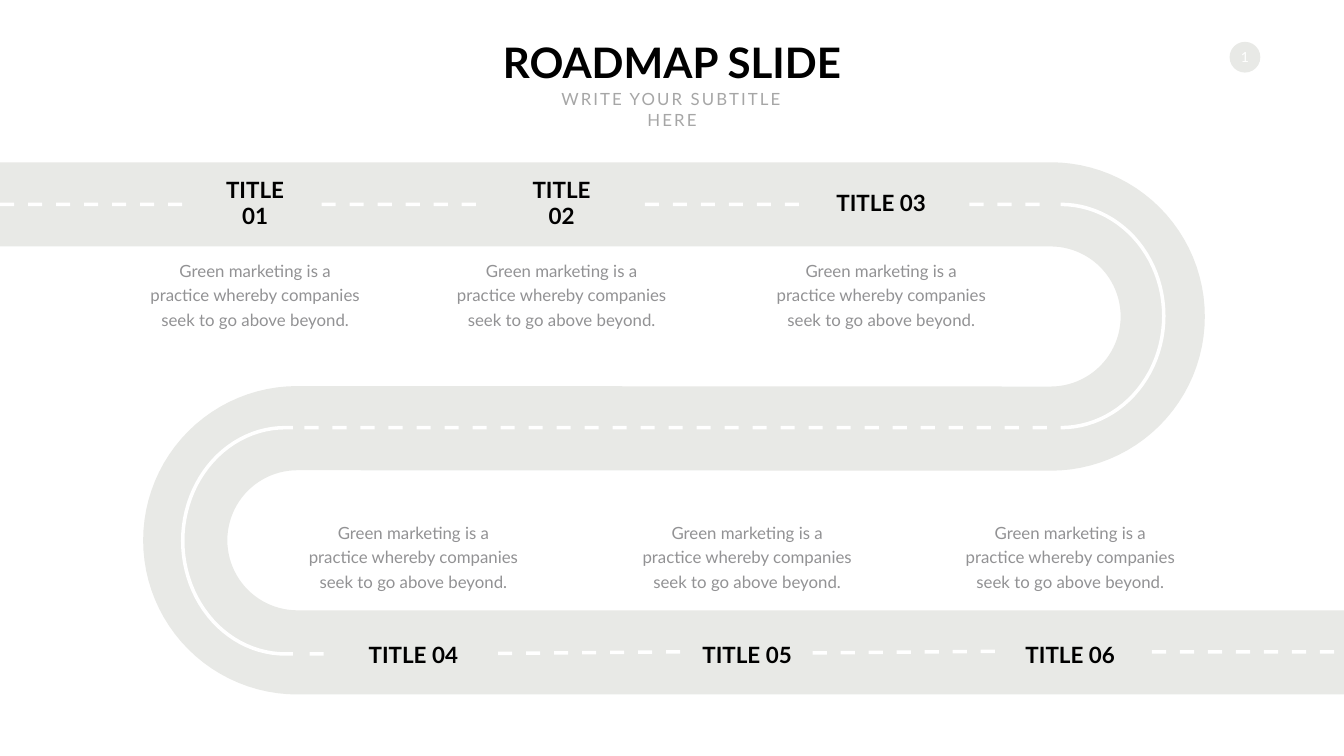
import math

import pptx
import pptx.dml.color
import pptx.enum.shapes
import pptx.enum.text
import pptx.util

# The grid has square cells: 26.66 columns by 15 rows, one inch each
COLUMNS, ROWS = 26.66, 15
CENTRE = COLUMNS / 2
COLORS = {"road": "E8E9E6", "white": "FFFFFF", "title": "000000",
          "subtitle": "A6A6A6", "body": "929294"}
FONT = "Lato"
BODY = "Green marketing is a practice whereby companies seek to go above beyond."
BODY_WIDTH, BODY_HEIGHT = 4.37, 1.52
TITLE_HEIGHT = 0.64
ANCHOR = pptx.enum.text.MSO_ANCHOR

# Centre columns of the milestones and widths of their titles
UPPER_MILESTONES = [("TITLE 01", 5.06, 1.9), ("TITLE 02", 11.14, 1.9),
                    ("TITLE 03", 17.48, 2.1)]
LOWER_MILESTONES = [("TITLE 04", 8.2, 2.1), ("TITLE 05", 14.82, 2.1),
                    ("TITLE 06", 21.23, 2.1)]

# Lane dashes: first column, row, count, rise per dash
DASH_WIDTH, DASH_HEIGHT, DASH_PITCH = 0.28, 0.07, 5 / 9
DASH_RUNS = [(0, 4.02, 7, 0), (6.38, 4.02, 6, 0), (12.79, 4.02, 6, 0),
             (19.23, 4.02, 3, 0), (6.04, 8.45, 27, 0), (6.14, 12.94, 1, 0),
             (9.88, 12.93, 7, 0.005), (16.12, 12.92, 7, 0.005),
             (22.85, 12.9, 7, 0)]


def cells(value):
    return pptx.util.Inches(value)


def color(name):
    return pptx.dml.color.RGBColor.from_string(COLORS[name])


def paint(shape, fill):
    shape.shadow.inherit = False
    shape.fill.solid()
    shape.fill.fore_color.rgb = color(fill)
    shape.line.fill.background()


def arc(centre, radius_x, radius_y, start, end, steps=48):
    """Points on an ellipse, with angles in degrees running clockwise."""
    angles = [math.radians(start + (end - start) * step / steps)
              for step in range(steps + 1)]
    return [(centre[0] + radius_x * math.cos(angle),
             centre[1] + radius_y * math.sin(angle)) for angle in angles]


def add_outline(slide, contours, fill):
    scaled = [[(cells(x), cells(y)) for x, y in contour] for contour in contours]
    builder = slide.shapes.build_freeform(*scaled[0][0], scale=1.0)
    for index, contour in enumerate(scaled):
        if index:
            builder.move_to(*contour[0])
        builder.add_line_segments(contour[1:], close=True)
    paint(builder.convert_to_shape(), fill)


def add_road(slide):
    right, left = (20.84, 6.28), (5.9, 10.72)
    outer, inner = 3.06, 1.39
    outline = [(0, right[1] - outer)]
    outline += arc(right, outer, outer, -90, 90)
    outline += arc(left, inner, inner, -90, -270)
    outline += [(COLUMNS, left[1] + inner), (COLUMNS, left[1] + outer)]
    outline += arc(left, outer, outer, 90, 270)
    outline += arc(right, inner, inner, 90, -90)
    outline += [(0, right[1] - inner)]
    add_outline(slide, [outline], "road")


def dash(x, y):
    return [(x, y), (x + DASH_WIDTH, y), (x + DASH_WIDTH, y + DASH_HEIGHT),
            (x, y + DASH_HEIGHT)]


def bend(centre, radius_x, radius_y, start, end, tail):
    """A half ring one dash thick, with straight tails at both ends."""
    outer = arc(centre, radius_x, radius_y, start, end)
    inner = arc(centre, radius_x - DASH_HEIGHT, radius_y - DASH_HEIGHT, end, start)
    contour = []
    for side in (outer, inner):
        contour.append((centre[0] + tail, side[0][1]))
        contour += side
        contour.append((centre[0] + tail, side[-1][1]))
    return contour


def add_lane(slide):
    contours = [dash(column + index * DASH_PITCH, row - index * rise)
                for column, row, count, rise in DASH_RUNS
                for index in range(count)]
    contours.append(bend((21.04, 6.27), 2.08, 2.25, -90, 90, 0))
    contours.append(bend((5.66, 10.73), 2.07, 2.28, 270, 90, 0.15))
    add_outline(slide, contours, "white")


def write(shape, text, size, fill, bold=False, anchor=ANCHOR.TOP,
          line_spacing=None, spacing=None, grow=True):
    frame = shape.text_frame
    frame.word_wrap = True
    frame.vertical_anchor = anchor
    sizes = pptx.enum.text.MSO_AUTO_SIZE
    frame.auto_size = sizes.SHAPE_TO_FIT_TEXT if grow else sizes.NONE
    paragraph = frame.paragraphs[0]
    paragraph.alignment = pptx.enum.text.PP_ALIGN.CENTER
    if line_spacing:
        paragraph.line_spacing = pptx.util.Pt(line_spacing)
    run = paragraph.add_run()
    run.text = text
    run.font.name = FONT
    run.font.size = pptx.util.Pt(size)
    run.font.bold = bold
    run.font.color.rgb = color(fill)
    if spacing:
        run._r.get_or_add_rPr().set("spc", str(spacing * 100))


def add_text(slide, centre, top, width, height, text, **text_format):
    box = slide.shapes.add_textbox(cells(centre - width / 2), cells(top),
                                   cells(width), cells(height))
    write(box, text, **text_format)


def add_milestones(slide, milestones, title_top, body_top, body_anchor):
    for title, centre, width in milestones:
        add_text(slide, centre, body_top, BODY_WIDTH, BODY_HEIGHT, BODY,
                 size=24, fill="body", anchor=body_anchor, line_spacing=35)
        add_text(slide, centre, title_top, width, TITLE_HEIGHT, title,
                 size=32, fill="title", bold=True, anchor=ANCHOR.MIDDLE)


def add_heading(slide):
    title = slide.shapes.title
    width = 7.2
    title.left, title.top = cells(CENTRE - width / 2), cells(0.67)
    title.width, title.height = cells(width), cells(1.11)
    write(title, "ROADMAP SLIDE", size=60, fill="title", bold=True)
    add_text(slide, CENTRE, 1.72, 5.43, 0.5, "WRITE YOUR SUBTITLE HERE",
             size=24, fill="subtitle", spacing=3)


def add_page_number(slide):
    diameter = 0.61
    badge = slide.shapes.add_shape(pptx.enum.shapes.MSO_SHAPE.OVAL, cells(24.39),
                                   cells(0.83), cells(diameter), cells(diameter))
    paint(badge, "road")
    frame = badge.text_frame
    frame.margin_left = frame.margin_right = 0
    frame.margin_top = frame.margin_bottom = 0
    write(badge, "1", size=20, fill="white", anchor=ANCHOR.MIDDLE, grow=False)


def main():
    presentation = pptx.Presentation()
    presentation.slide_width = cells(COLUMNS)
    presentation.slide_height = cells(ROWS)
    slide = presentation.slides.add_slide(presentation.slide_layouts[5])

    # Road with its lane marking
    add_page_number(slide)
    add_road(slide)
    add_lane(slide)

    # Heading and milestones
    add_heading(slide)
    add_milestones(slide, UPPER_MILESTONES, 3.7, 5.03, ANCHOR.TOP)
    add_milestones(slide, LOWER_MILESTONES, 12.66, 10.27, ANCHOR.BOTTOM)

    presentation.save("out.pptx")


if __name__ == "__main__":
    main()
